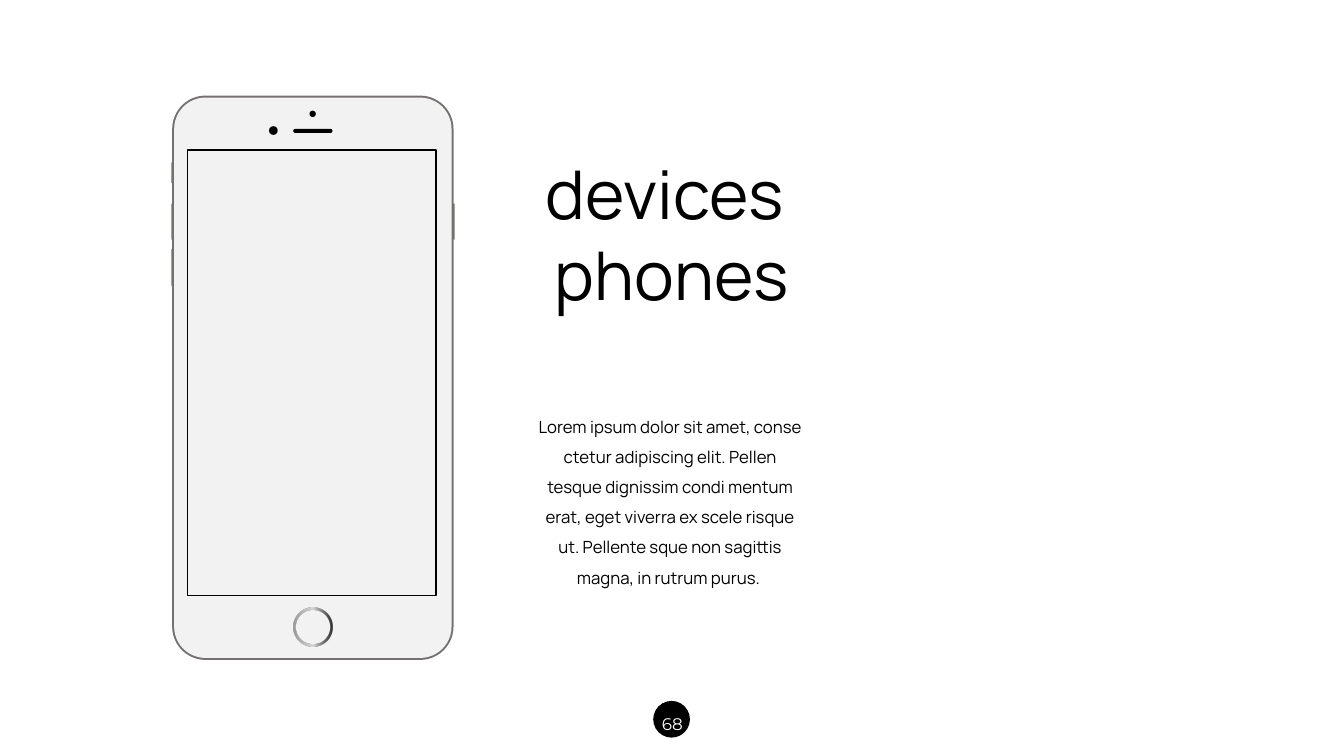
from copy import deepcopy

from pptx import Presentation
from pptx.dml.color import RGBColor
from pptx.enum.shapes import MSO_SHAPE as Kind
from pptx.enum.text import MSO_ANCHOR as Anchor, MSO_AUTO_SIZE as Auto, PP_ALIGN as Align
from pptx.oxml.ns import qn
from pptx.util import Cm, Pt

BLACK, WHITE, EDGE, FACE = "000000", "FFFFFF", "767171", "F2F2F2"
OVAL, ROUND = Kind.OVAL, Kind.ROUNDED_RECTANGLE

TITLE = ["devices ", "phones"]
BODY = ["Lorem ipsum dolor sit amet, conse ctetur adipiscing elit. Pellen tesque "
        "dignissim condi mentum erat, eget viverra ex scele risque ut. Pellente "
        "sque non sagittis magna, in rutrum purus. "]
PAGE = ["68"]

# Boxes are left, top, width, height in cm
TITLE_BOX = (13.31, 3.71, 7.24, 4.37)
BODY_BOX = (13.23, 10.11, 7.32, 4.88)
PAGE_BOX = (16.31, 17.6, 1.27, 0.94)
BADGE = (16.48, 17.68, 0.89, 0.89)
SCREEN = (4.72, 3.78, 6.27, 11.23)
RING = (7.39, 15.32, 0.99, 0.97)
RING_WIDTH = 0.07
RING_STOPS = [(0, "979797"), (0.5, "D7D7D7"), (1, BLACK)]

# Kind, box, corner radius, fill
PHONE = [
    (ROUND, (4.32, 4.09, 0.1, 0.53), 0.02, EDGE),
    (ROUND, (4.32, 5.13, 0.1, 0.91), 0.02, EDGE),
    (ROUND, (4.32, 6.27, 0.1, 0.94), 0.02, EDGE),
    (ROUND, (11.36, 5.13, 0.1, 0.91), 0.02, EDGE),
    (ROUND, (4.34, 2.41, 7.09, 14.22), 0.84, EDGE),
    (ROUND, (4.39, 2.46, 6.99, 14.12), 0.79, FACE),
    (OVAL, (6.78, 3.18, 0.22, 0.22), None, BLACK),
    (OVAL, (7.8, 2.79, 0.16, 0.16), None, BLACK),
    (ROUND, (7.39, 3.25, 0.99, 0.1), 0.05, BLACK),
]


def rgb(code):
    return RGBColor.from_string(code)


def lengths(box):
    return [Cm(n) for n in box]


def draw(kind, box, fill=None, line=None, radius=None):
    shape = slide.shapes.add_shape(kind, *lengths(box))
    shape.shadow.inherit = False
    if fill:
        shape.fill.solid()
        shape.fill.fore_color.rgb = rgb(fill)
    else:
        shape.fill.background()
    if line:
        shape.line.color.rgb = rgb(line)
        shape.line.width = Pt(1)
    else:
        shape.line.fill.background()
    if radius:
        shape.adjustments[0] = radius / min(box[2:])
    return shape


def shade(shape, stops):
    """Fill left to right through three stops, the last one at 80% opacity."""
    fill = shape.fill
    fill.gradient()
    fill.gradient_angle = 0
    first = shape._element.spPr.find(".//" + qn("a:gs"))
    first.addnext(deepcopy(first))
    for stop, (place, code) in zip(fill.gradient_stops, stops):
        stop.position = place
        stop.color.rgb = rgb(code)
    last = shape._element.spPr.findall(".//" + qn("a:srgbClr"))[-1]
    last.makeelement(qn("a:alpha"))
    alpha = last.makeelement(qn("a:alpha"), {"val": "80000"})
    last.append(alpha)


def write(shape, lines, font, size, color, space):
    frame = shape.text_frame
    frame.word_wrap = True
    frame.auto_size = Auto.NONE
    frame.vertical_anchor = Anchor.TOP
    frame.text = "\n".join(lines)
    for para in frame.paragraphs:
        para.alignment = Align.CENTER
        para.line_spacing = space
        para.font.name = font
        para.font.size = Pt(size)
        para.font.color.rgb = rgb(color)


deck = Presentation()
deck.slide_width, deck.slide_height = Cm(33.87), Cm(19.05)
slide = deck.slides.add_slide(deck.slide_layouts[5])

for kind, box, radius, fill in PHONE:
    draw(kind, box, fill, radius=radius)
ring = draw(Kind.DONUT, RING)
ring.adjustments[0] = RING_WIDTH
shade(ring, RING_STOPS)
draw(OVAL, BADGE, BLACK, BLACK)
write(slide.shapes.add_textbox(*lengths(PAGE_BOX)), PAGE, "Montserrat", 12, WHITE, 1.5)
draw(Kind.RECTANGLE, SCREEN, line=BLACK)

title = slide.shapes.title
title.left, title.top, title.width, title.height = lengths(TITLE_BOX)
write(title, TITLE, "Manrope", 48, BLACK, 1.0)
write(slide.shapes.add_textbox(*lengths(BODY_BOX)), BODY, "Manrope", 12, BLACK, 1.5)

deck.save("out.pptx")
